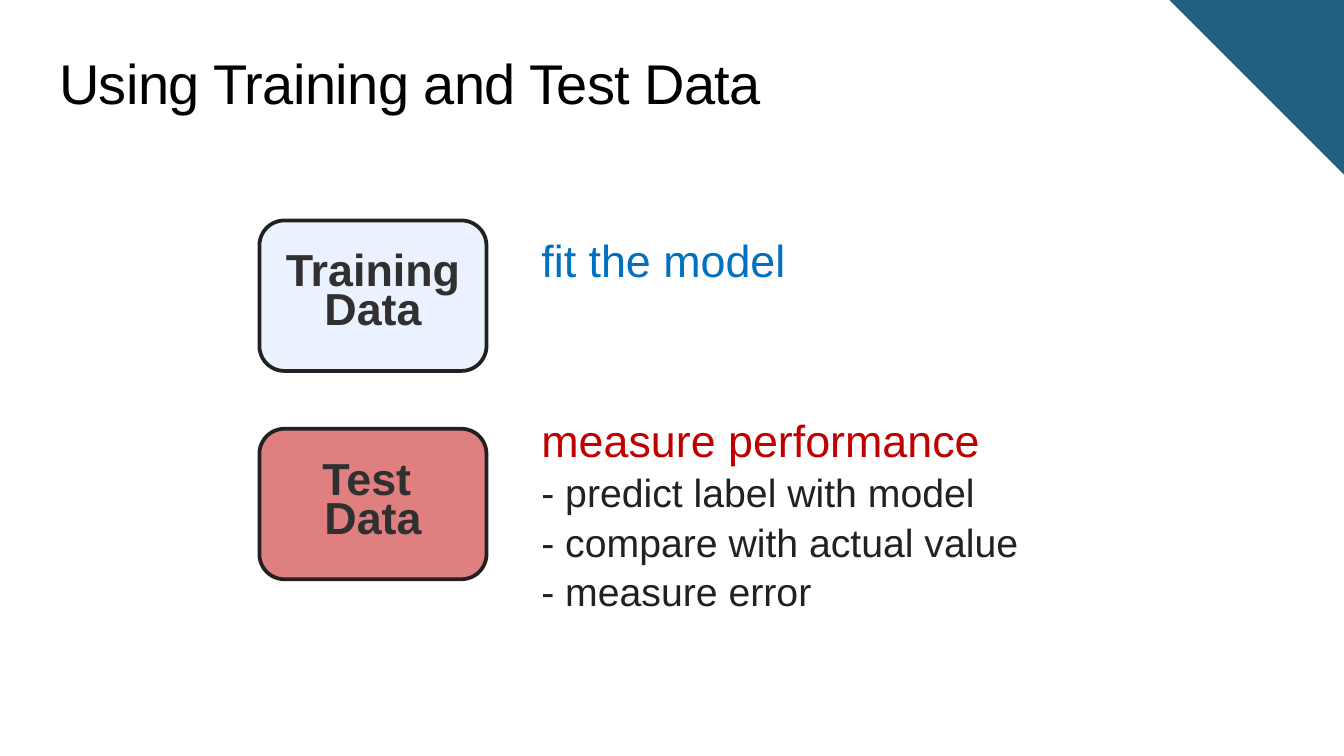
from dataclasses import dataclass

from lxml.etree import SubElement
from pptx import Presentation
from pptx.dml.color import RGBColor
from pptx.enum.shapes import MSO_SHAPE as Preset
from pptx.enum.text import MSO_ANCHOR as Anchor, MSO_AUTO_SIZE as AutoSize, PP_ALIGN as Align
from pptx.oxml.ns import qn
from pptx.shapes.autoshape import Shape
from pptx.slide import Slide
from pptx.util import Inches, Pt

COLORS = {
    "corner": "235F83",
    "title": "000000",
    "outline": "212121",
    "box_text": "303030",
    "step": "212121",
    "training": "D7E6FF",
    "fit": "0070C0",
    "test": "C00000",
}
FONT = "Arial"
CELL = Inches(0.1)
COLUMNS, ROWS = 100, 56.25
CORNER_SPAN = 13
BOX_COLUMN, BOX_WIDTH, BOX_HEIGHT = 19.3, 16.9, 11.2
PURPOSE_COLUMN = 39.3


@dataclass(frozen=True)
class Area:
    column: float
    row: float
    width: float
    height: float

    def lengths(self) -> list[int]:
        return [round(n * CELL) for n in (self.column, self.row, self.width, self.height)]


@dataclass(frozen=True)
class Line:
    text: str
    size: float
    color: str
    bold: bool = False


@dataclass(frozen=True)
class Caption:
    area: Area
    lines: tuple[Line, ...]
    margins: tuple[float, float, float, float] = (1, 0.5, 1, 0.5)
    anchor: Anchor = Anchor.TOP
    tracking: int = 0


@dataclass(frozen=True)
class DataBox:
    row: float
    fill: str
    words: tuple[str, str]


TITLE = Caption(
    Area(4.4, 3.4, 92.3, 5),
    (Line("Using Training and Test Data", 30, "title"),),
    margins=(0, 0, 0, 0),
    tracking=-30,
)
PURPOSES = (
    Caption(
        Area(PURPOSE_COLUMN, 15.7, 27.5, 6.3),
        (Line("fit the model", 24, "fit"),),
        margins=(1, 1.5, 1, 0.7),
        anchor=Anchor.MIDDLE,
    ),
    Caption(
        Area(PURPOSE_COLUMN, 30, 41, 15.7),
        (
            Line("measure performance", 24, "test"),
            Line("- predict label with model", 21, "step"),
            Line("- compare with actual value", 21, "step"),
            Line("- measure error", 21, "step"),
        ),
    ),
)
DATA_BOXES = (
    DataBox(16.4, "training", ("Training", "Data")),
    DataBox(31.9, "test", ("Test ", "Data")),
)


def rgb(name: str) -> RGBColor:
    return RGBColor.from_string(COLORS[name])


def add_preset(slide: Slide, preset: Preset, area: Area, fill: str) -> Shape:
    shape = slide.shapes.add_shape(preset, *area.lengths())
    shape.shadow.inherit = False
    shape.fill.solid()
    shape.fill.fore_color.rgb = rgb(fill)
    return shape


def write_lines(shape: Shape, lines: tuple[Line, ...], align: Align, spacing: float) -> None:
    frame = shape.text_frame
    frame.word_wrap = True
    frame.text = "\n".join(line.text for line in lines)
    for paragraph, line in zip(frame.paragraphs, lines):
        paragraph.alignment = align
        paragraph.line_spacing = spacing
        font = paragraph.runs[0].font
        font.name = FONT
        font.size = Pt(line.size)
        font.bold = line.bold
        font.color.rgb = rgb(line.color)


def add_corner(slide: Slide) -> None:
    area = Area(COLUMNS - CORNER_SPAN, 0, CORNER_SPAN, CORNER_SPAN)
    corner = add_preset(slide, Preset.RIGHT_TRIANGLE, area, "corner")
    corner.rotation = 180
    corner.line.fill.background()


def add_caption(slide: Slide, caption: Caption) -> None:
    textbox = slide.shapes.add_textbox(*caption.area.lengths())
    write_lines(textbox, caption.lines, Align.LEFT, 1.05)
    frame = textbox.text_frame
    frame.auto_size = AutoSize.SHAPE_TO_FIT_TEXT
    frame.vertical_anchor = caption.anchor
    (
        frame.margin_left,
        frame.margin_top,
        frame.margin_right,
        frame.margin_bottom,
    ) = [round(margin * CELL) for margin in caption.margins]
    if caption.tracking:
        for paragraph in frame.paragraphs:
            paragraph.runs[0].font._element.set("spc", str(caption.tracking))


def add_data_box(slide: Slide, box: DataBox) -> None:
    area = Area(BOX_COLUMN, box.row, BOX_WIDTH, BOX_HEIGHT)
    shape = add_preset(slide, Preset.ROUNDED_RECTANGLE, area, box.fill)
    fill_color = shape._element.spPr.find(qn("a:solidFill")).find(qn("a:srgbClr"))
    SubElement(fill_color, qn("a:alpha"), val="50000")
    shape.line.color.rgb = rgb("outline")
    shape.line.width = Pt(2)
    shape.text_frame.vertical_anchor = Anchor.MIDDLE
    lines = tuple(Line(word, 24, "box_text", bold=True) for word in box.words)
    write_lines(shape, lines, Align.CENTER, Pt(21))


def main() -> None:
    deck = Presentation()
    deck.slide_width = round(COLUMNS * CELL)
    deck.slide_height = round(ROWS * CELL)
    slide = deck.slides.add_slide(deck.slide_layouts[6])
    add_corner(slide)
    for caption in (TITLE, *PURPOSES):
        add_caption(slide, caption)
    for box in DATA_BOXES:
        add_data_box(slide, box)
    deck.save("out.pptx")


if __name__ == "__main__":
    main()
